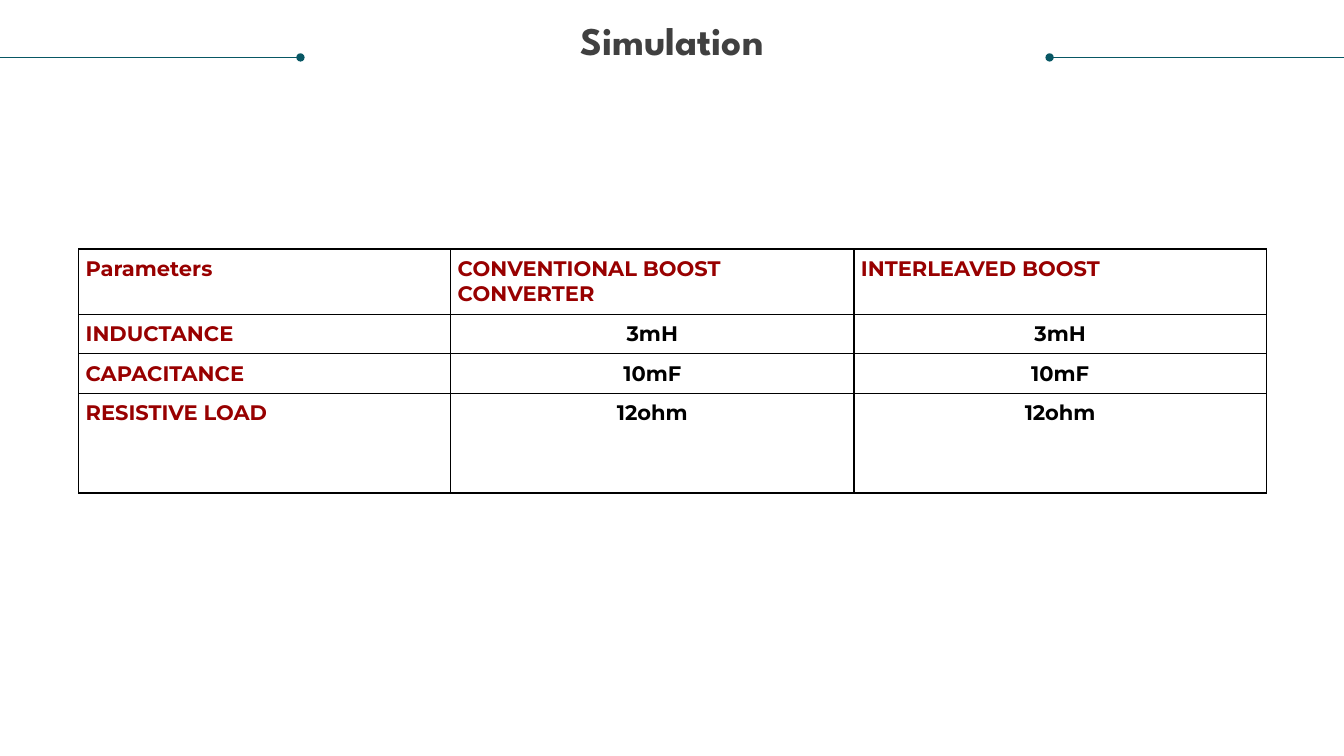
from dataclasses import dataclass
from typing import NamedTuple

from lxml import etree
from pptx import Presentation
from pptx.dml.color import RGBColor
from pptx.enum.shapes import MSO_CONNECTOR
from pptx.enum.text import MSO_ANCHOR, PP_ALIGN
from pptx.oxml.ns import qn
from pptx.util import Inches, Pt

LEFT, CENTER = PP_ALIGN.LEFT, PP_ALIGN.CENTER
TOP = MSO_ANCHOR.TOP
STRAIGHT = MSO_CONNECTOR.STRAIGHT
WIDTH, HEIGHT = Inches(13.33), Inches(7.5)
TITLE_ONLY = 5


@dataclass(frozen=True)
class Theme:
    head_font: str = "League Spartan"
    body_font: str = "Montserrat"
    head_size: float = 28
    body_size: float = 15
    head: str = "404040"
    label: str = "980000"
    value: str = "000000"
    rule: str = "085764"
    border: str = "000000"
    rule_width: float = 0.5
    border_width: float = 1
    pad: float = 0.07


class Rule(NamedTuple):
    """A line beside the title, from its dot to the slide's edge."""
    dot: float
    edge: float


class Row(NamedTuple):
    height: float
    cells: tuple[str, str, str]


THEME = Theme()
RULE_TOP = 0.57
RULES = (Rule(10.41, 13.33), Rule(2.98, 0))
COLS = (3.69, 4, 4.09)
ROWS = (
    Row(0.64, ("Parameters", "CONVENTIONAL BOOST CONVERTER",
               "INTERLEAVED BOOST")),
    Row(0.39, ("INDUCTANCE", "3mH", "3mH")),
    Row(0.39, ("CAPACITANCE", "10mF", "10mF")),
    Row(0.99, ("RESISTIVE LOAD", "12ohm", "12ohm")),
)


def style(para, font: str, size: float, color: str, align) -> None:
    para.alignment = align
    for run in para.runs:
        run.font.name = font
        run.font.size = Pt(size)
        run.font.bold = True
        run.font.color.rgb = RGBColor.from_string(color)


def add_title(slide, text: str) -> None:
    title = slide.shapes.title
    title.left, title.top = Inches(0.25), Inches(0.21)
    title.width, title.height = Inches(12.83), Inches(0.42)
    frame = title.text_frame
    frame.margin_left = frame.margin_right = 0
    frame.margin_top = frame.margin_bottom = 0
    frame.vertical_anchor = TOP
    frame.word_wrap = True
    frame.text = text
    para = frame.paragraphs[0]
    para.line_spacing = 0.9
    style(para, THEME.head_font, THEME.head_size, THEME.head, CENTER)


def add_rule(slide, rule: Rule) -> None:
    y = Inches(RULE_TOP)
    line = slide.shapes.add_connector(
        STRAIGHT, Inches(rule.dot), y, Inches(rule.edge), y)
    line.line.color.rgb = RGBColor.from_string(THEME.rule)
    line.line.width = Pt(THEME.rule_width)
    props = line.element.spPr
    etree.SubElement(props.find(qn("a:ln")), qn("a:headEnd"), type="oval")
    etree.SubElement(props, qn("a:effectLst"))


def add_border(cell) -> None:
    props = cell._tc.get_or_add_tcPr()
    for i, side in enumerate(("lnL", "lnR", "lnT", "lnB")):
        edge = etree.Element(qn(f"a:{side}"), w=str(Pt(THEME.border_width)))
        fill = etree.SubElement(edge, qn("a:solidFill"))
        etree.SubElement(fill, qn("a:srgbClr"), val=THEME.border)
        props.insert(i, edge)


def fill_cell(cell, text: str, is_label: bool) -> None:
    cell.fill.background()
    add_border(cell)
    pad = Inches(THEME.pad)
    cell.margin_left = cell.margin_right = pad
    cell.margin_top = cell.margin_bottom = pad
    cell.vertical_anchor = TOP
    cell.text_frame.text = text
    color, align = (THEME.label, LEFT) if is_label else (THEME.value, CENTER)
    style(cell.text_frame.paragraphs[0], THEME.body_font, THEME.body_size,
          color, align)


def add_grid(slide) -> None:
    tall = sum(row.height for row in ROWS)
    table = slide.shapes.add_table(
        len(ROWS), len(COLS), Inches(0.78), Inches(2.47),
        Inches(sum(COLS)), Inches(tall)).table
    table.first_row = table.horz_banding = False
    for col, width in zip(table.columns, COLS):
        col.width = Inches(width)
    for r, row in enumerate(ROWS):
        table.rows[r].height = Inches(row.height)
        for c, text in enumerate(row.cells):
            fill_cell(table.cell(r, c), text, r == 0 or c == 0)


def main() -> None:
    deck = Presentation()
    deck.slide_width, deck.slide_height = WIDTH, HEIGHT
    slide = deck.slides.add_slide(deck.slide_layouts[TITLE_ONLY])
    add_title(slide, "Simulation")
    for rule in RULES:
        add_rule(slide, rule)
    add_grid(slide)
    deck.save("out.pptx")


if __name__ == "__main__":
    main()
